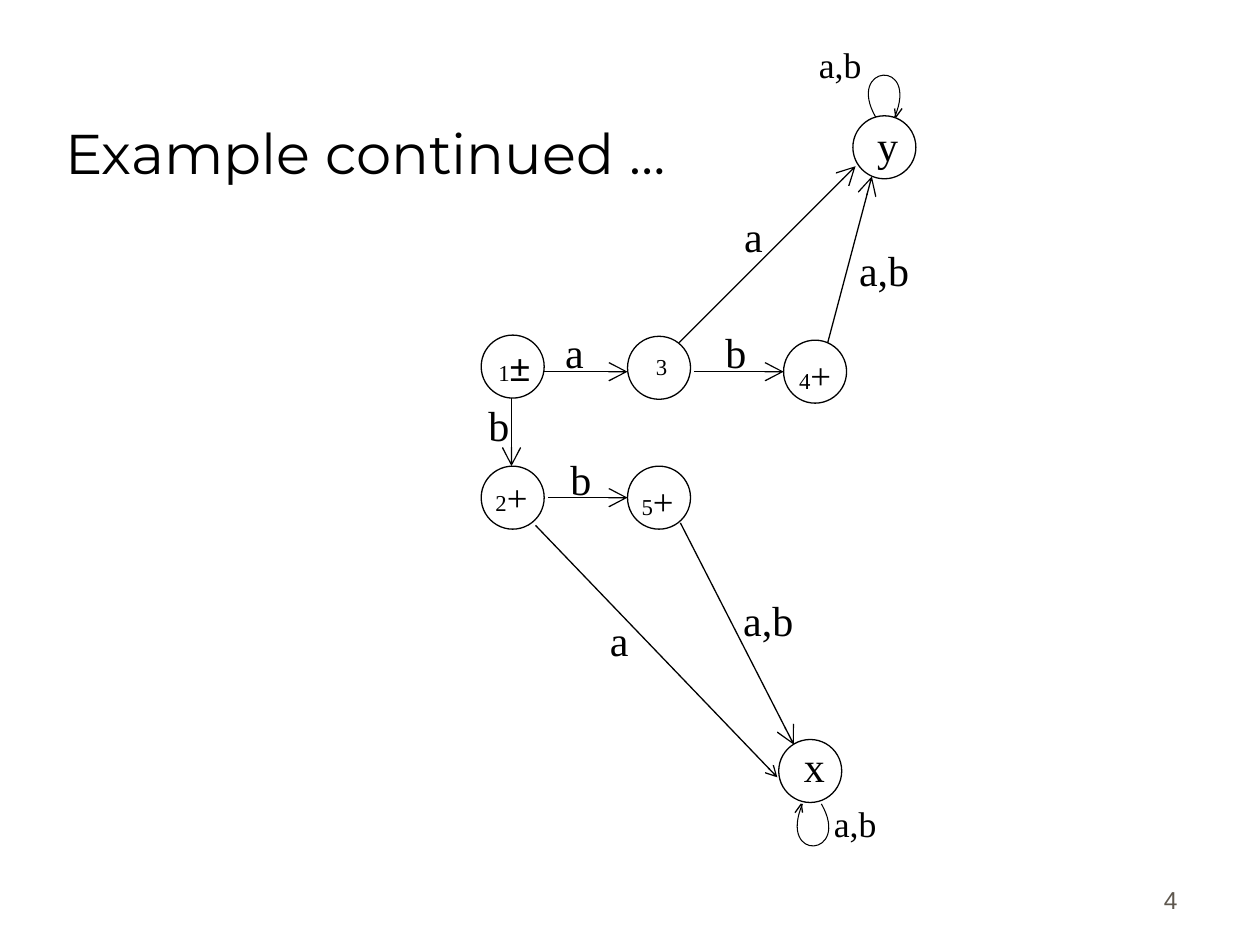
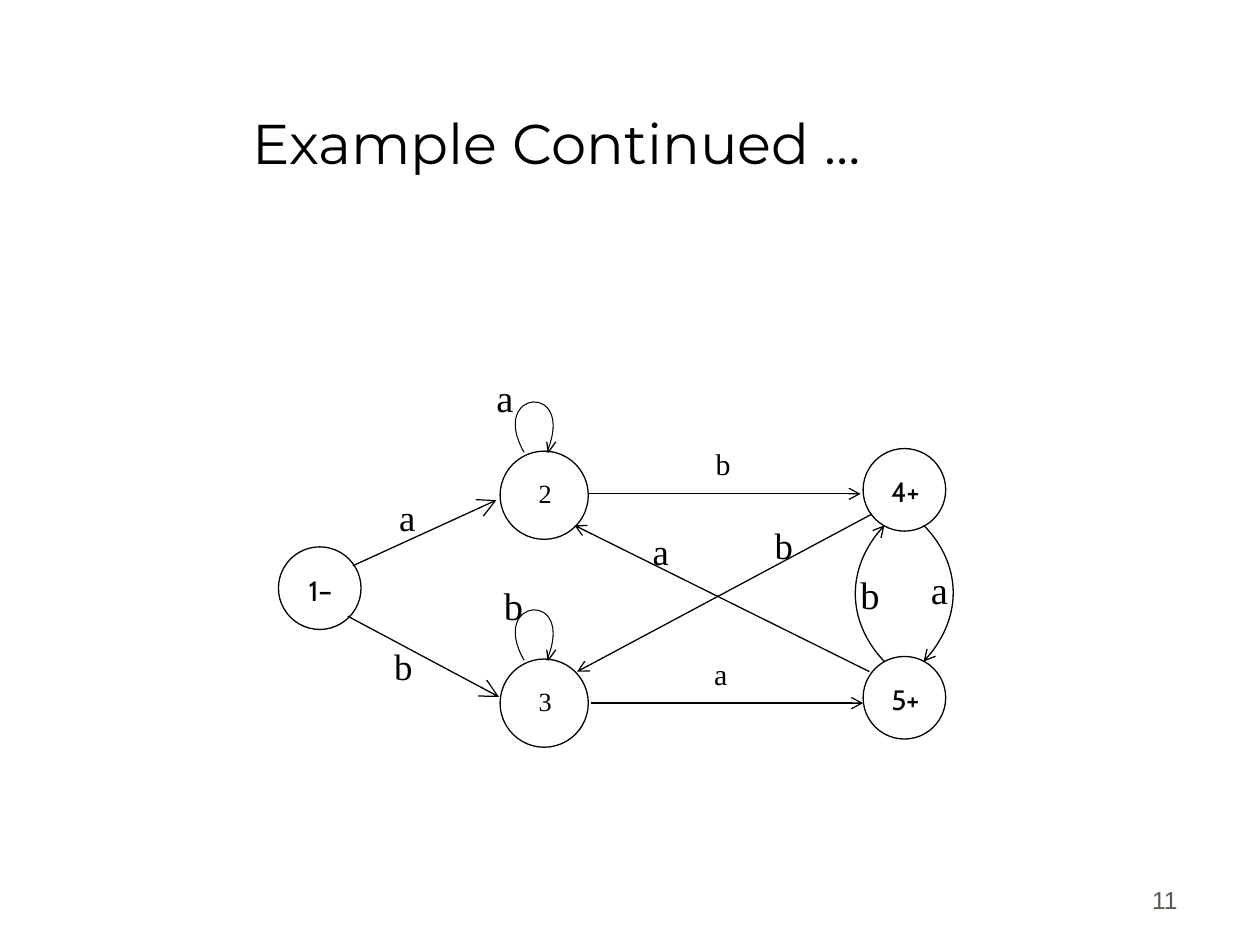
import dataclasses

import lxml.etree
import pptx
import pptx.dml.color
import pptx.enum.shapes
import pptx.enum.text
import pptx.oxml.ns
import pptx.util

Pt = pptx.util.Pt
Align = pptx.enum.text.PP_ALIGN
Anchor = pptx.enum.text.MSO_ANCHOR
qn = pptx.oxml.ns.qn


def colour(code):
    return pptx.dml.color.RGBColor.from_string(code)


@dataclasses.dataclass(frozen=True)
class Theme:
    ink = colour("000000")
    paper = colour("FFFFFF")
    muted = colour("5E574E")
    line = 0.75
    loop_line = 0.6
    inset_x = 7.2
    inset_y = 3.6
    title = {"name": "Montserrat", "size": Pt(32)}
    number = {"name": "Arial", "size": Pt(14)}
    serif = "Times New Roman"
    sans = "Arial"
    state_sans = "Cabin"


THEME = Theme()


def apply(target, values):
    for name, value in values.items():
        setattr(target, name, value)


def add_text(page, box, spans, align=Align.LEFT, anchor=Anchor.TOP,
             spacing=None, margins=(THEME.inset_x, THEME.inset_y), ink=THEME.ink):
    frame = page.shapes.add_textbox(*map(Pt, box)).text_frame
    side, edge = map(Pt, margins)
    apply(frame, {"word_wrap": True, "vertical_anchor": anchor,
                  "margin_left": side, "margin_right": side,
                  "margin_top": edge, "margin_bottom": edge})
    para = frame.paragraphs[0]
    apply(para, {"alignment": align, "line_spacing": spacing})
    for text, values in spans:
        span = para.add_run()
        span.text = text
        apply(span.font, values)
        span.font.color.rgb = ink


def add_label(page, left, top, width, spans, align=Align.CENTER, spacing=None):
    height = 1.2 * max(size for _, size, _ in spans) + 2 * THEME.inset_y
    runs = [(text, {"size": Pt(size), "name": face}) for text, size, face in spans]
    add_text(page, (left, top, width, height), runs, align, spacing=spacing)


def outline(shape, width=THEME.line):
    shape.line.color.rgb = THEME.ink
    shape.line.width = Pt(width)


def add_arrowhead(shape, size):
    line = shape.line._get_or_add_ln()
    lxml.etree.SubElement(line, qn("a:tailEnd"), type="arrow", w=size, len=size)


def add_line(page, start, end, head=None):
    line = page.shapes.add_connector(
        pptx.enum.shapes.MSO_CONNECTOR.STRAIGHT, *map(Pt, (*start, *end)))
    outline(line)
    if head:
        add_arrowhead(line, head)
    lxml.etree.SubElement(line.element.spPr, qn("a:effectLst"))


def add_curve(page, points, width=THEME.line, head=None):
    start, *others = [tuple(map(Pt, point)) for point in points]
    builder = page.shapes.build_freeform(*start)
    builder.add_line_segments(others, close=False)
    curve = builder.convert_to_shape()
    segments = list(curve.element.iter(qn("a:lnTo")))
    bezier = lxml.etree.SubElement(segments[0].getparent(), qn("a:cubicBezTo"))
    for segment in segments:
        bezier.append(segment[0])
        segment.getparent().remove(segment)
    curve.fill.background()
    curve.shadow.inherit = False
    outline(curve, width)
    if head:
        add_arrowhead(curve, head)


def add_loop(page, left, top, scale):
    def at(x, y):
        return left + scale * x, top + scale * y

    add_curve(page, [at(0, 0), at(-17.3, -30.2), at(25.2, -33.8), at(10.8, 0)],
              THEME.loop_line)
    for barb_x in (15.1, 10.8):
        add_line(page, at(barb_x, -5), at(11.5, 0))


def add_state(page, left, top, diameter, spans, shift):
    circle = page.shapes.add_shape(
        pptx.enum.shapes.MSO_SHAPE.OVAL, *map(Pt, (left, top, diameter, diameter)))
    circle.fill.solid()
    circle.fill.fore_color.rgb = THEME.paper
    circle.shadow.inherit = False
    outline(circle)
    add_label(page, left + shift[0], top + shift[1], diameter, spans)


def add_heading(page, box, text, align):
    add_text(page, box, [(text, THEME.title)], align, Anchor.BOTTOM, margins=(5.5, 2))


def add_page_number(page, box, number):
    add_text(page, box, [(number, THEME.number)], Align.RIGHT, Anchor.BOTTOM,
             ink=THEME.muted)


def draw_automaton(page, box, states, arrows, curves, loops, labels):
    left, top = box[:2]

    def at(point):
        return left + point[0], top + point[1]

    for corner, diameter, spans, shift in states:
        add_state(page, *at(corner), diameter, spans, shift)
    for head, start, end in arrows:
        add_line(page, at(start), at(end), head)
    for points in curves:
        add_curve(page, [at(point) for point in points], head="med")
    for start, scale in loops:
        add_loop(page, *at(start), scale)
    for text, corner, width, size, align, spacing in labels:
        add_label(page, *at(corner), width, [(text, size, THEME.serif)], align, spacing)


def draw_dead_end_automaton(page, box):
    def numbered(number, sign, face=THEME.serif):
        return [(number, 13, THEME.serif), (sign, 21, face)]

    def named(name, size=24):
        return [(name, size, THEME.serif)]

    states = [(corner, 36, spans, shift) for corner, spans, shift in (
        ((223.4, 48.2), named("y"), (1.8, -1.4)),
        ((11, 173.5), numbered("1", "±", THEME.sans), (0.9, 2.2)),
        ((94.6, 174.2), named("3", 13), (1.4, 5.8)),
        ((94.6, 248.4), numbered("5", "+"), (-0.8, 3.6)),
        ((11, 248.4), numbered("2", "+"), (-0.7, 1.4)),
        ((181, 404.6), named("x"), (2.4, -2.8)),
        ((183.8, 176.4), numbered("4", "+"), (0, 3.6)),
    )]
    arrows = [
        ("lg", (46.3, 194.4), (94.6, 194.4)),
        ("lg", (132.7, 194.4), (183.8, 194.4)),
        ("lg", (49.2, 266.4), (94.6, 266.4)),
        ("lg", (28.3, 209.5), (28.3, 248.4)),
        ("lg", (124.1, 177.8), (224.9, 77)),
        ("lg", (209, 177.8), (234.2, 82.8)),
        ("lg", (124.8, 280.8), (189.6, 407.5)),
        ("med", (42, 282.2), (180.2, 426.2)),
    ]
    loops = [((236.4, 49), 1), ((205.4, 441.4), -1)]
    labels = [(text, corner, width, 24, Align.CENTER, None) for text, corner, width in (
        ("a", (46.3, 164.9), 36),
        ("b", (138.5, 164.9), 36),
        ("a,b", (206.2, 118.1), 70),
        ("a", (148.6, 98.6), 36),
        ("b", (3.1, 206.6), 36),
        ("b", (49.9, 237.6), 36),
        ("a,b", (142, 318.2), 66),
        ("a", (47.8, 329.8), 84),
    )]
    labels += [("a,b", corner, 46.8, 20.4, Align.LEFT, 0.9)
               for corner in ((196.8, 5.8), (205.4, 439.2))]
    draw_automaton(page, box, states, arrows, [], loops, labels)


def draw_last_letter_automaton(page, box):
    states = [(corner, diameter, [(text, size, face)], (0.5, 11.5))
              for text, corner, diameter, size, face in (
        ("4+", (349.2, 58.3), 47.2, 16, THEME.state_sans),
        ("2", (141.8, 59.8), 50.4, 15, THEME.serif),
        ("5+", (349.2, 177.1), 47.2, 16, THEME.state_sans),
        ("3", (141.8, 178.6), 50.4, 15, THEME.serif),
        ("1–", (15.1, 114.5), 47.2, 16, THEME.state_sans),
    )]
    arrows = [
        ("lg", (57.6, 125.3), (139.7, 87.8)),
        ("lg", (54.7, 154.1), (141.1, 200.2)),
        ("med", (192.2, 84.2), (347.8, 84.2)),
        ("med", (193.7, 203.8), (349.2, 203.8)),
        ("med", (352.8, 185.8), (184.3, 102.2)),
        ("med", (354.2, 95.8), (185.8, 185.8)),
    ]
    curves = [
        [(383.8, 102.2), (403.2, 121.7), (408.2, 154.1), (383.8, 180)],
        [(361.4, 180), (342, 159.8), (337.7, 127.4), (361.4, 102.2)],
    ]
    loops = [((155.5, 60.5), 1.2), ((155.5, 179.3), 1.2)]
    widths = {17.1: 29.5, 21: 50.4, 22: 70.6}
    spacings = {17.1: 0.8}
    labels = [(text, corner, widths[size], size, Align.LEFT, spacings.get(size))
              for text, corner, size in (
        ("b", (74.2, 166.3), 21),
        ("a", (77, 81.4), 21),
        ("b", (340.6, 124.6), 22),
        ("b", (257.8, 56.9), 17.1),
        ("a", (132.5, 12.2), 22),
        ("a", (380.9, 121.7), 22),
        ("a", (257, 177.1), 17.1),
        ("b", (136.8, 131), 22),
        ("a", (221.8, 100.8), 21),
        ("b", (291.6, 97.2), 21),
    )]
    draw_automaton(page, box, states, arrows, curves, loops, labels)


def main():
    deck = pptx.Presentation()
    apply(deck, {"slide_width": Pt(720), "slide_height": Pt(540)})
    pages = (
        ("Example continued …", (31.7, 18, 612, 90), Align.LEFT, "4",
         draw_dead_end_automaton, (264, 18, 264, 471)),
        ("Example Continued …", (12.2, 12.2, 612, 90), Align.CENTER, "11",
         draw_last_letter_automaton, (144, 198, 451, 229)),
    )
    for title, title_box, align, number, draw, box in pages:
        page = deck.slides.add_slide(deck.slide_layouts[6])
        add_page_number(page, (530, 490.3, 150, 36), number)
        add_heading(page, title_box, title, align)
        draw(page, box)
    deck.save("out.pptx")


if __name__ == "__main__":
    main()
